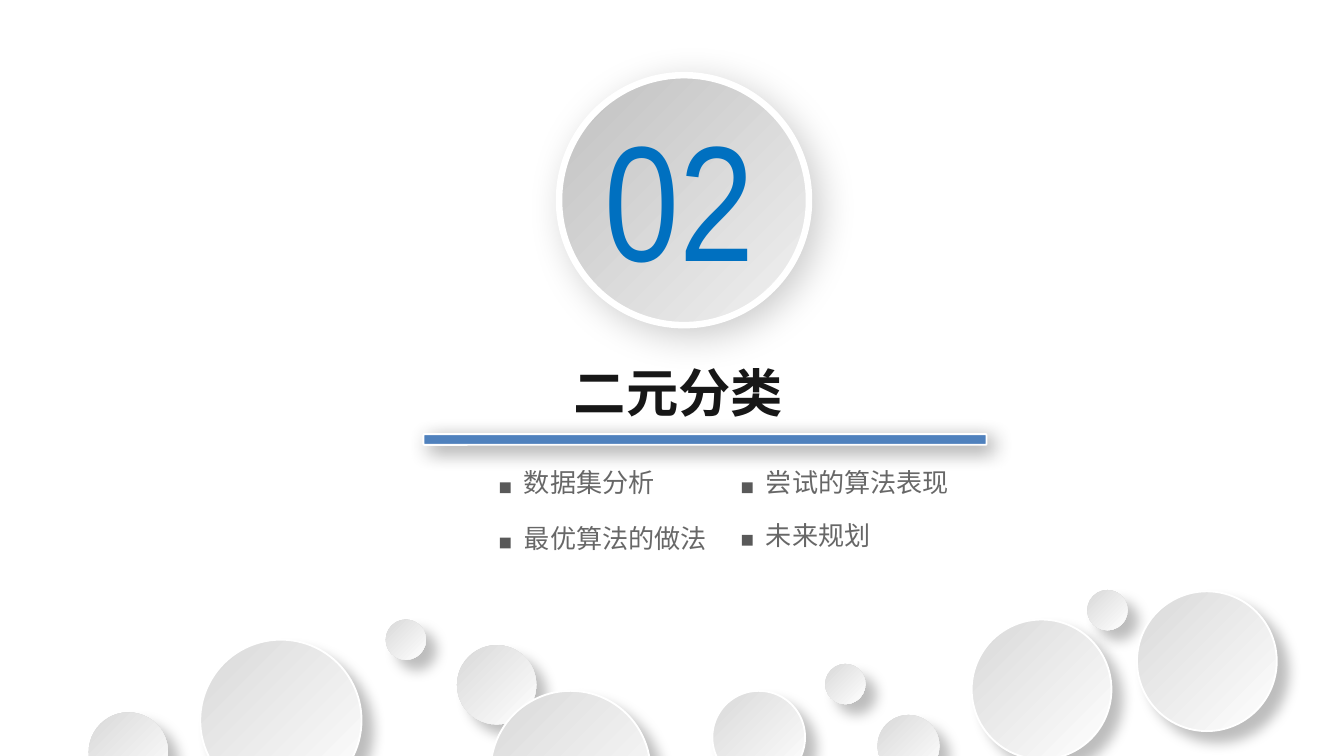
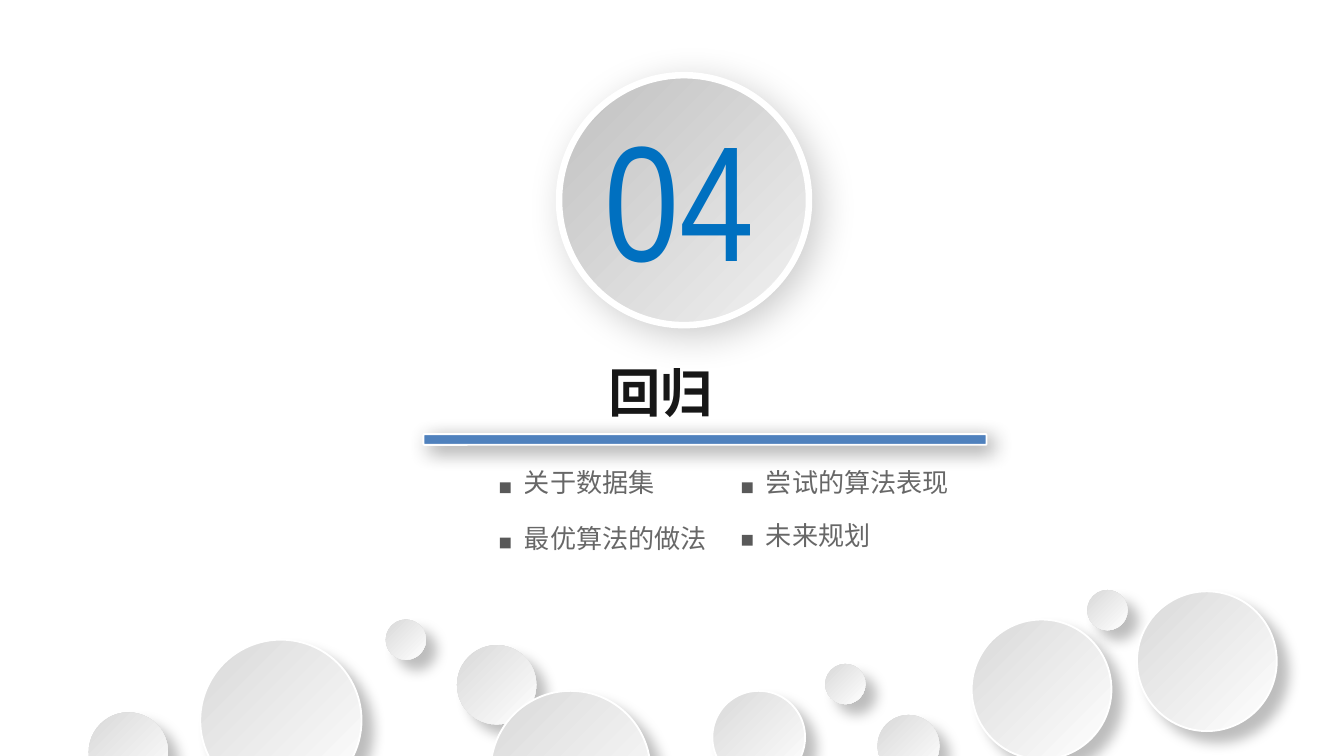
from dataclasses import dataclass

from lxml import etree
from pptx import Presentation
from pptx.enum import shapes, text
from pptx.dml.color import RGBColor
from pptx.oxml import ns
from pptx.util import Inches, Pt

HUES = {
    "bar": "4F81BD", "number": "0070C0", "title": "000000", "item": "595959",
    "edge": "FFFFFF", "deep": "BFBFBF", "pale": "F2F2F2",
    "grey": "D9D9D9", "white": "FFFFFF", "shade": "000000",
}
LATIN, HAN = "Arial Narrow", "Noto Sans CJK SC"
KIND = shapes.MSO_SHAPE
WIDTH = Inches(10)
HEIGHT = WIDTH * 9 // 16


@dataclass(frozen=True)
class Shade:
    alpha: int
    blur: float
    dist: float


@dataclass(frozen=True)
class Disc:
    left: float
    top: float
    size: float
    edge: float = 0


@dataclass(frozen=True)
class Spot:
    """Place of one topic: its marker's corner and its text width."""
    left: float
    top: float
    width: float


@dataclass(frozen=True)
class Part:
    number: str
    title: str
    width: float
    indent: float
    topics: tuple[str, ...]


BAR_SHADE = Shade(45, 11, 4)
HERO_SHADE = Shade(20, 20, 6)
DISC_SHADE = Shade(25, 7, 8)
HERO = Disc(4.16, 0.56, 1.86, 3.5)
DISCS = (
    Disc(0.66, 5.3, 0.59), Disc(3.4, 4.8, 0.59), Disc(5.3, 5.14, 0.69, 1),
    Disc(3.65, 5.14, 1.19, 1), Disc(1.49, 4.76, 1.2, 1), Disc(8.09, 4.39, 0.3),
    Disc(7.23, 4.61, 1.04, 1), Disc(6.53, 5.32, 0.46), Disc(8.46, 4.4, 1.04, 1),
    Disc(2.87, 4.61, 0.3), Disc(6.14, 4.94, 0.3),
)
SPOTS = (
    Spot(3.72, 3.59, 1.18), Spot(5.52, 3.59, 1.58),
    Spot(3.72, 4, 1.58), Spot(5.52, 3.98, 0.99),
)
PARTS = (
    Part("02", "二元分类", 2.13, 0.26,
         ("数据集分析", "尝试的算法表现", "最优算法的做法", "未来规划")),
    Part("04", "回归", 1.69, 0.52,
         ("关于数据集", "尝试的算法表现", "最优算法的做法", "未来规划")),
)


def hue(name: str) -> RGBColor:
    return RGBColor.from_string(HUES[name])


def box(left: float, top: float, width: float, height: float) -> tuple:
    return Inches(left), Inches(top), Inches(width), Inches(height)


def node(root, tag: str, **attrs):
    return etree.SubElement(root, ns.qn(tag), {k: str(v) for k, v in attrs.items()})


def edge(shape, width: float) -> None:
    if width:
        shape.line.color.rgb = hue("edge")
        shape.line.width = Pt(width)
    else:
        shape.line.fill.background()


def cast(shape, shade: Shade) -> None:
    """Give the shape a soft shadow towards the lower right."""
    shape.shadow.inherit = False
    root = shape._element.spPr.find(ns.qn("a:effectLst"))
    drop = node(root, "a:outerShdw", blurRad=Pt(shade.blur), dist=Pt(shade.dist),
                dir=45 * 60000, algn="tl", rotWithShape=0)
    tint = node(drop, "a:srgbClr", val=HUES["shade"])
    node(tint, "a:alpha", val=shade.alpha * 1000)


def write(shape, words: str, size: float, tone: str, face: str = HAN,
          bold: bool = False, alpha: int = 91) -> None:
    frame = shape.text_frame
    frame.text = words
    frame.word_wrap = face == LATIN
    frame.auto_size = text.MSO_AUTO_SIZE.NONE
    frame.vertical_anchor = text.MSO_ANCHOR.MIDDLE
    frame.margin_left = frame.margin_right = Inches(0.1)
    frame.margin_top = frame.margin_bottom = Inches(0.05)
    para = frame.paragraphs[0]
    para.alignment = text.PP_ALIGN.LEFT
    font = para.font
    font.size, font.bold, font.name = Pt(size), bold, face
    font.color.rgb = hue(tone)
    node(font._element, "a:ea", typeface=HAN)
    if alpha < 100:
        tint = font._element.find(".//" + ns.qn("a:srgbClr"))
        node(tint, "a:alpha", val=alpha * 1000)


def draw_disc(slide, disc: Disc, start: str, end: str, shade: Shade) -> None:
    shape = slide.shapes.add_shape(
        KIND.OVAL, *box(disc.left, disc.top, disc.size, disc.size))
    shape.fill.gradient()
    shape.fill.gradient_angle = 315
    for stop, tone in zip(shape.fill.gradient_stops, (start, end)):
        stop.color.rgb = hue(tone)
    edge(shape, disc.edge)
    cast(shape, shade)


def draw_bar(slide) -> None:
    bar = slide.shapes.add_shape(KIND.ROUNDED_RECTANGLE, *box(3.15, 3.23, 4.19, 0.08))
    bar.adjustments[0] = 0.08
    bar.fill.solid()
    bar.fill.fore_color.rgb = hue("bar")
    edge(bar, 1)
    cast(bar, BAR_SHADE)


def draw_topic(slide, spot: Spot, words: str) -> None:
    group = slide.shapes.add_group_shape()
    mark = group.shapes.add_shape(KIND.RECTANGLE, *box(spot.left, spot.top, 0.08, 0.08))
    mark.fill.solid()
    mark.fill.fore_color.rgb = hue("item")
    edge(mark, 0)
    mark.shadow.inherit = False
    label = group.shapes.add_textbox(
        *box(spot.left + 0.08, spot.top - 0.17, spot.width, 0.34))
    write(label, words, 14, "item")


def draw_part(deck, part: Part) -> None:
    slide = deck.slides.add_slide(deck.slide_layouts[5])
    draw_bar(slide)
    draw_disc(slide, HERO, "deep", "pale", HERO_SHADE)
    number = slide.shapes.add_textbox(*box(4.4, 0.67, 1.48, 1.58))
    write(number, part.number, 88, "number", LATIN, alpha=100)

    title = slide.shapes.title
    title.left, title.top, title.width, title.height = box(3.91, 2.63, part.width, 0.57)
    write(title, part.title, 28, "title", bold=True)
    title.text_frame.margin_left = Inches(0.1 + part.indent)

    for spot, words in zip(SPOTS, part.topics):
        draw_topic(slide, spot, words)
    for disc in DISCS:
        draw_disc(slide, disc, "grey", "white", DISC_SHADE)


def main() -> None:
    deck = Presentation()
    deck.slide_width, deck.slide_height = WIDTH, HEIGHT
    for part in PARTS:
        draw_part(deck, part)
    deck.save("out.pptx")


if __name__ == "__main__":
    main()
